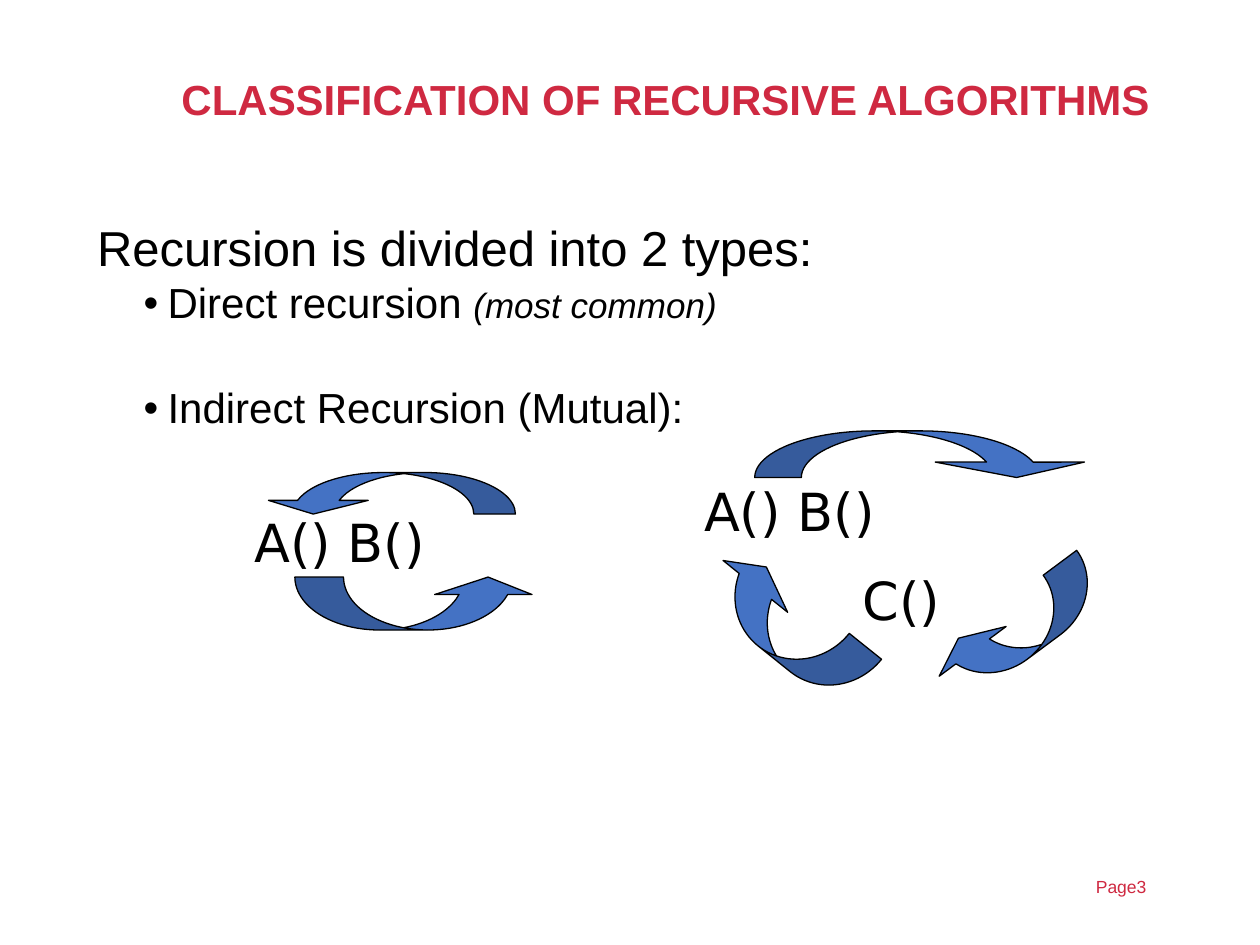
from pptx import Presentation
from pptx.dml.color import RGBColor
from pptx.enum.shapes import MSO_SHAPE
from pptx.enum.text import MSO_ANCHOR, MSO_AUTO_SIZE, PP_ALIGN
from pptx.oxml.ns import qn
from pptx.util import Inches, Pt


def style(paragraph, size, color="000000", name="Arial", bold=False):
    """Set the font of a whole paragraph."""
    font = paragraph.font
    font.size, font.name, font.bold = Pt(size), name, bold
    font.color.rgb = RGBColor.from_string(color)


def place(shape, left, top, width, height):
    """Move and size a shape in inches and prepare its text frame."""
    shape.left, shape.top = Inches(left), Inches(top)
    shape.width, shape.height = Inches(width), Inches(height)
    shape.text_frame.word_wrap = True
    shape.text_frame.auto_size = MSO_AUTO_SIZE.NONE
    return shape.text_frame


presentation = Presentation()
presentation.slide_width, presentation.slide_height = Inches(10), Inches(7.5)
slide = presentation.slides.add_slide(presentation.slide_layouts[1])

title = place(slide.shapes.title, 1.34, 0.4, 7.98, 0.82)
title.text = "CLASSIFICATION OF RECURSIVE ALGORITHMS"
title.vertical_anchor = MSO_ANCHOR.MIDDLE
title.paragraphs[0].alignment = PP_ALIGN.LEFT
title.paragraphs[0].line_spacing = 0.9
style(title.paragraphs[0], 24, "CF2941", bold=True)

body = place(slide.placeholders[1], 0.67, 1.58, 6.94, 4.24)
body.text = "Recursion is divided into 2 types:\nDirect recursion \nIndirect Recursion (Mutual):"
heading, *types = body.paragraphs
heading.line_spacing, heading.space_before = 1.2, Pt(0)
style(heading, 28)
properties = heading._p.get_or_add_pPr()
properties.set("marL", "0")
properties.set("indent", "0")
properties.insert_element_before(properties.makeelement(qn("a:buNone")), "a:defRPr")

for paragraph, space in zip(types, (3.8, 34)):
    paragraph.level = 1
    paragraph.line_spacing, paragraph.space_before = 0.9, Pt(space)
    style(paragraph, 24)
    properties = paragraph._p.get_or_add_pPr()
    properties.set("marL", str(Inches(0.56)))
    properties.set("indent", str(Inches(-0.19)))
    bullet = properties.makeelement(qn("a:buChar"), {"char": "•"})
    properties.insert_element_before(bullet, "a:defRPr")
remark = types[0].add_run()
remark.text = "(most common)"
remark.font.size, remark.font.italic = Pt(20), True

for kind, box, rotation, thickness in (
    (MSO_SHAPE.CURVED_UP_ARROW, (2.09, 3.75, 2, 0.33), 180, 1.2),
    (MSO_SHAPE.CURVED_UP_ARROW, (2.34, 4.58, 1.92, 0.42), 0, 0.92),
    (MSO_SHAPE.CURVED_LEFT_ARROW, (7.85, 4.25, 0.46, 1.5), 53.4, 0.72),
    (MSO_SHAPE.CURVED_DOWN_ARROW, (5.99, 3.42, 2.67, 0.37), 0, 1.6),
    (MSO_SHAPE.CURVED_LEFT_ARROW, (5.98, 4.22, 0.53, 1.5), 128.7, 0.62),
):
    arrow = slide.shapes.add_shape(kind, *map(Inches, box))
    arrow.rotation = rotation
    for index, value in enumerate((thickness, 2 * thickness, 0.33)):
        arrow.adjustments[index] = value
    arrow.fill.solid()
    arrow.fill.fore_color.rgb = RGBColor.from_string("4472C4")
    arrow.line.color.rgb = RGBColor.from_string("000000")
    arrow.line.width = Pt(0.75)
    arrow.shadow.inherit = False

for box, text, size, color, name in (
    ((1.92, 4, 2.58, 0.6), "A() B()", 30, "000000", "DejaVu Sans"),
    ((5.49, 3.75, 3.33, 1.35), "A() B()\nC()", 30, "000000", "DejaVu Sans"),
    ((8.6, 6.9, 1.2, 0.28), "Page3", 10, "CF2941", "Arial"),
):
    label = place(slide.shapes.add_textbox(0, 0, 0, 0), *box)
    label.text = text
    for paragraph in label.paragraphs:
        style(paragraph, size, color, name)
    for paragraph in label.paragraphs[1:]:
        paragraph.alignment, paragraph.space_before = PP_ALIGN.CENTER, Pt(15)

presentation.save("out.pptx")
